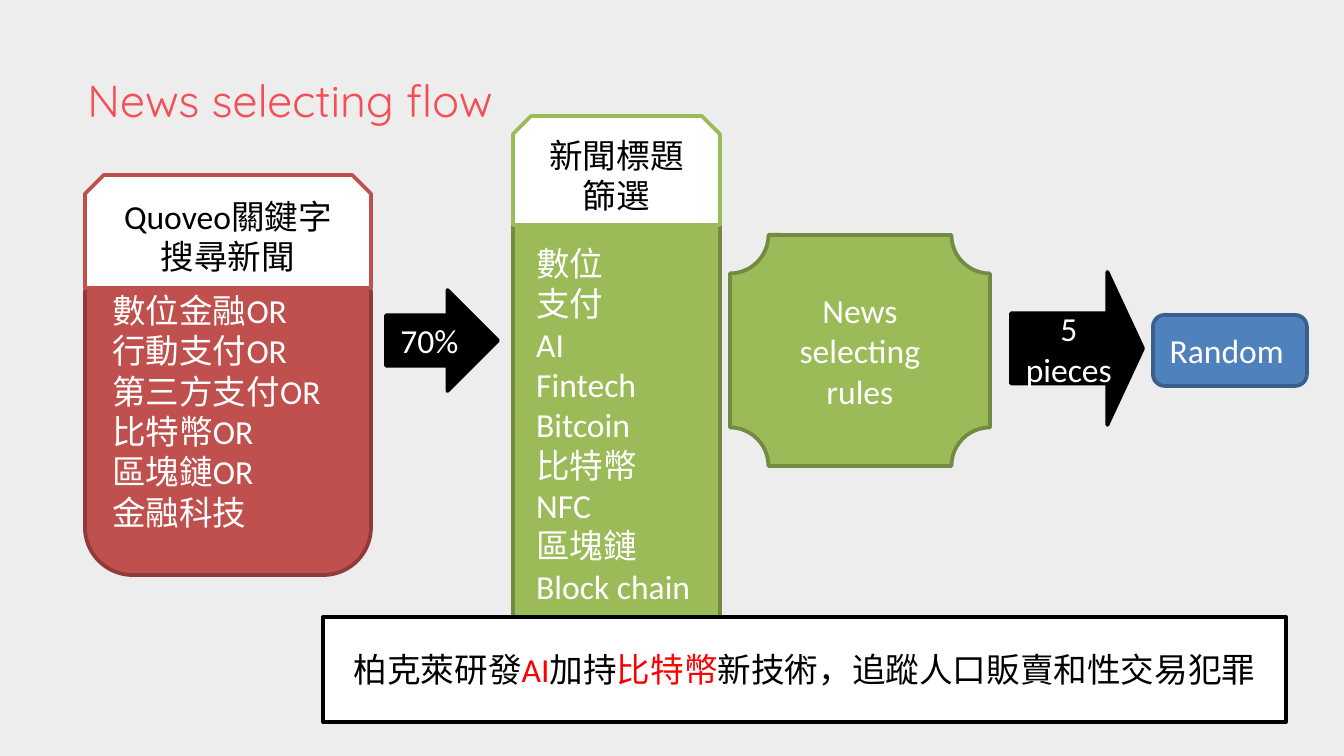
from dataclasses import dataclass
from typing import NamedTuple

from pptx import Presentation
from pptx.dml.color import RGBColor
from pptx.enum.shapes import MSO_SHAPE
from pptx.enum.text import MSO_ANCHOR, MSO_AUTO_SIZE, PP_ALIGN
from pptx.util import Emu, Inches, Pt

PX = Inches(10) / 1344
COLORS = {
    "background": "EDEDED", "title": "F44F56",
    "white": "FFFFFF", "black": "000000", "highlight": "FF0000",
    "red": "C0504D", "dark_red": "8E3B39",
    "green": "9BBB59", "dark_green": "738A42",
    "blue": "4F81BD", "dark_blue": "3A5F8C",
}


class Run(NamedTuple):
    text: str
    color: str


@dataclass(frozen=True)
class Box:
    kind: MSO_SHAPE
    rect: tuple[int, int, int, int]
    fill: str
    line: str
    paragraphs: list[list[Run]]
    align: PP_ALIGN = PP_ALIGN.CENTER
    adjustments: tuple[float, ...] = ()


def px(n: int) -> Emu:
    return Emu(round(n * PX))


def rgb(name: str) -> RGBColor:
    return RGBColor.from_string(COLORS[name])


def lines(color: str, *texts: str) -> list[list[Run]]:
    """One single-run paragraph for each text."""
    return [[Run(text, color)] for text in texts]


def write(tf, paragraphs: list[list[Run]], align: PP_ALIGN,
          size: int = 18, font: str = "Calibri") -> None:
    for i, runs in enumerate(paragraphs):
        p = tf.add_paragraph() if i else tf.paragraphs[0]
        p.alignment = align
        for run in runs:
            r = p.add_run()
            r.text = run.text
            r.font.name = font
            r.font.size = Pt(size)
            r.font.color.rgb = rgb(run.color)


def draw_box(shapes, box: Box) -> None:
    sp = shapes.add_shape(box.kind, *map(px, box.rect))
    sp.shadow.inherit = False
    for i, value in enumerate(box.adjustments):
        sp.adjustments[i] = value
    sp.fill.solid()
    sp.fill.fore_color.rgb = rgb(box.fill)
    sp.line.color.rgb = rgb(box.line)
    sp.line.width = Pt(2)
    tf = sp.text_frame
    tf.word_wrap = True
    tf.vertical_anchor = MSO_ANCHOR.MIDDLE
    write(tf, box.paragraphs, box.align)


def draw_title(s, text: str) -> None:
    title = s.shapes.title
    title.left, title.top, title.width, title.height = map(px, (74, 66, 458, 67))
    tf = title.text_frame
    tf.word_wrap = False
    tf.auto_size = MSO_AUTO_SIZE.SHAPE_TO_FIT_TEXT
    tf.vertical_anchor = MSO_ANCHOR.TOP
    write(tf, lines("title", text), PP_ALIGN.LEFT, 24, "Quicksand")


FILTER_PANEL = [
    Box(MSO_SHAPE.ROUNDED_RECTANGLE, (513, 188, 207, 473), "green", "dark_green",
        lines("white", "數位", "支付", "AI", "Fintech", "Bitcoin", "比特幣",
              "NFC", "區塊鏈", "Block chain"), PP_ALIGN.LEFT),
    Box(MSO_SHAPE.SNIP_2_SAME_RECTANGLE, (513, 116, 207, 109), "white", "green",
        lines("black", "新聞標題篩選")),
]
SEARCH_PANEL = [
    Box(MSO_SHAPE.ROUNDED_RECTANGLE, (85, 247, 286, 328), "red", "dark_red",
        lines("white", "數位金融OR", "行動支付OR", "第三方支付OR", "比特幣OR",
              "區塊鏈OR", "金融科技"), PP_ALIGN.LEFT),
    Box(MSO_SHAPE.SNIP_2_SAME_RECTANGLE, (85, 175, 286, 113), "white", "red",
        lines("black", "Quoveo關鍵字", "搜尋新聞")),
]
FLOW_STEPS = [
    Box(MSO_SHAPE.RIGHT_ARROW, (386, 290, 112, 101), "black", "black",
        lines("white", "70%")),
    Box(MSO_SHAPE.RIGHT_ARROW, (1011, 272, 132, 153), "black", "black",
        lines("white", "5", "pieces"), adjustments=(0.46, 0.27)),
    Box(MSO_SHAPE.ROUNDED_RECTANGLE, (1153, 315, 154, 71), "blue", "dark_blue",
        lines("white", "Random"), PP_ALIGN.LEFT),
    Box(MSO_SHAPE.RECTANGLE, (323, 617, 963, 105), "white", "black",
        [[Run("柏克萊研發", "black"), Run("AI", "highlight"), Run("加持", "black"),
          Run("比特幣", "highlight"),
          Run("新技術，追蹤人口販賣和性交易犯罪", "black")]]),
    Box(MSO_SHAPE.PLAQUE, (730, 235, 260, 231), "green", "dark_green",
        lines("white", "News", "selecting", "rules")),
]


def main() -> None:
    prs = Presentation()
    prs.slide_width, prs.slide_height = px(1344), px(756)
    s = prs.slides.add_slide(prs.slide_layouts[5])
    s.background.fill.solid()
    s.background.fill.fore_color.rgb = rgb("background")
    draw_title(s, "News selecting flow")
    for panel in (FILTER_PANEL, SEARCH_PANEL):
        group = s.shapes.add_group_shape()
        for box in panel:
            draw_box(group.shapes, box)
    for box in FLOW_STEPS:
        draw_box(s.shapes, box)
    prs.save("out.pptx")


if __name__ == "__main__":
    main()
